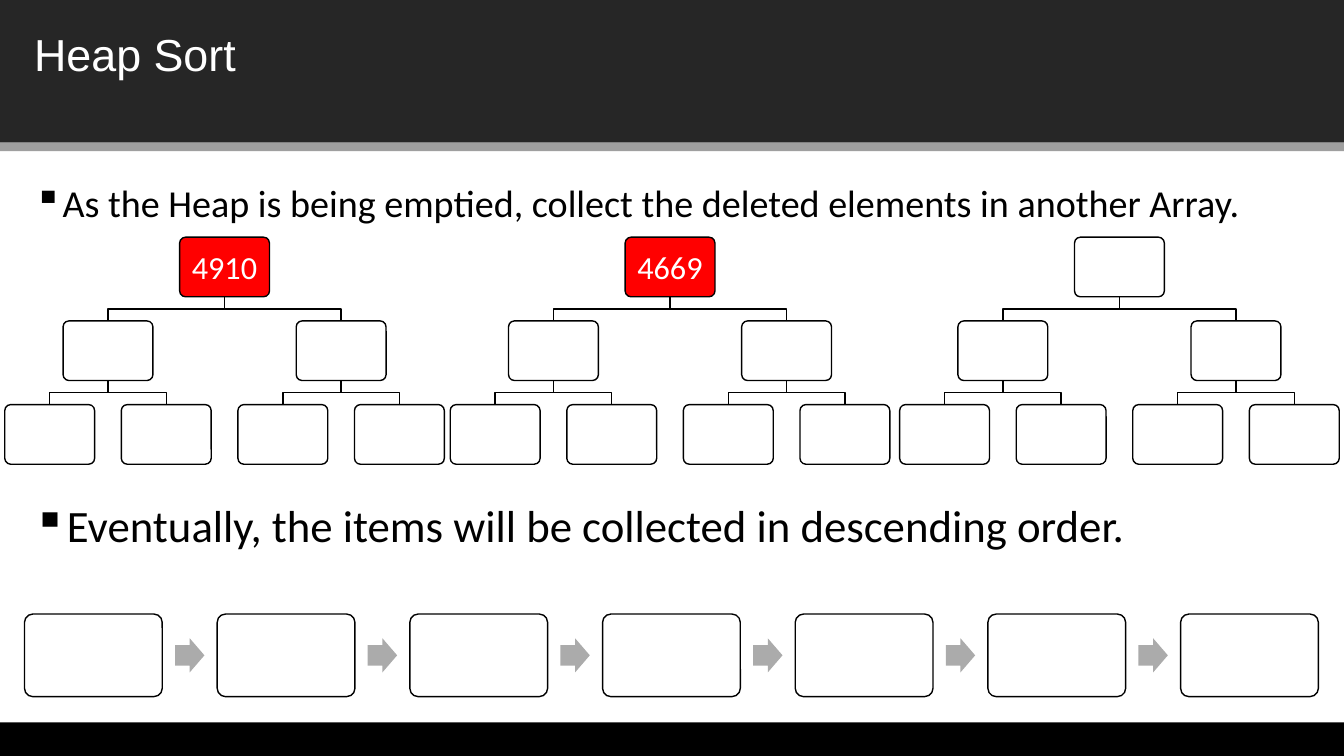
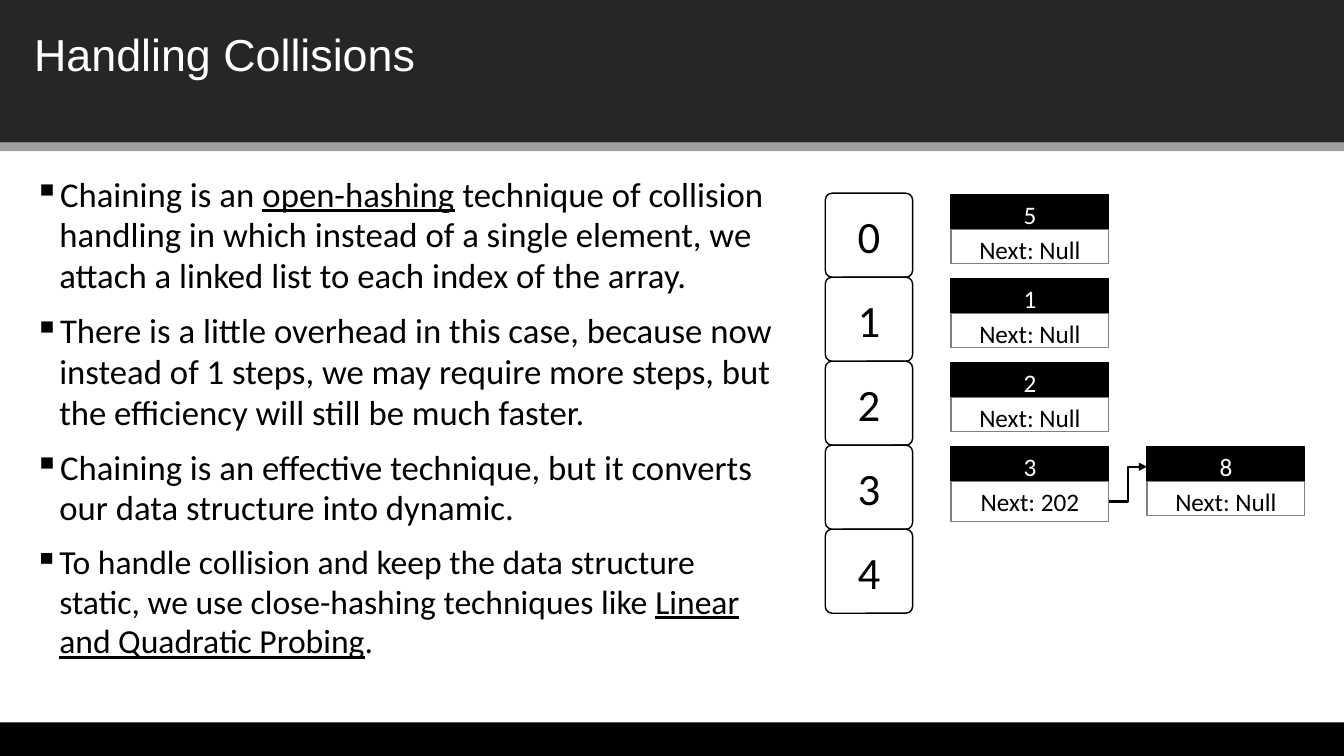
from lxml.etree import SubElement
from pptx import Presentation
from pptx.dml.color import RGBColor
from pptx.enum.shapes import MSO_CONNECTOR as Link, MSO_SHAPE as Kind
from pptx.enum.text import MSO_ANCHOR as Anchor, PP_ALIGN as Align
from pptx.oxml.ns import qn
from pptx.util import Pt

WIDE, HIGH = 960, 540
BLACK, WHITE, RED = "000000", "FFFFFF", "FF0000"
DARK, GREY, SILVER, EDGE = "262626", "9F9F9F", "ABABAB", "7F7F7F"
HEAD, BODY = "Arial", "Calibri"


def color(fmt, code):
    """Set a colour format or a fill to a hex colour."""
    if hasattr(fmt, "solid"):
        fmt.solid()
        fmt = fmt.fore_color
    fmt.rgb = RGBColor.from_string(code)


def style(para, size, code, face=BODY):
    """Set the font of a whole paragraph."""
    font = para.font
    font.size, font.name = Pt(size), face
    color(font.color, code)


def shape(slide, kind, box, fill, line=None, adj=()):
    """Draw a flat preset shape in a box."""
    item = slide.shapes.add_shape(kind, *map(Pt, box))
    item.shadow.inherit = False
    color(item.fill, fill)
    if line:
        color(item.line.fill, line)
        item.line.width = Pt(1)
    else:
        item.line.fill.background()
    for i, value in enumerate(adj):
        item.adjustments[i] = value
    return item


def label(item, text, size, code, anchor=Anchor.MIDDLE):
    """Write one centred line in a shape."""
    frame = item.text_frame
    frame.margin_left = frame.margin_right = Pt(2)
    frame.vertical_anchor = anchor
    para = frame.paragraphs[0]
    para.text, para.alignment = text, Align.CENTER
    style(para, size, code)


def frame_at(slide, box):
    """Add a wrapping text box and return its frame."""
    frame = slide.shapes.add_textbox(*map(Pt, box)).text_frame
    frame.word_wrap = True
    return frame


def base(deck, title):
    """Add a slide with its bands and title."""
    slide = deck.slides.add_slide(deck.slide_layouts[6])
    for top, high, code in ((0, 102, DARK), (102, 6, GREY), (516, 24, BLACK)):
        shape(slide, Kind.RECTANGLE, (0, top, WIDE, high), code)
    para = frame_at(slide, (17.3, 15.8, 924.5, 46)).paragraphs[0]
    para.text = title
    style(para, 32, WHITE, HEAD)
    return slide


def points(slide, box, items, space):
    """Write bullets given as size and text, underlining parts between bars."""
    frame = frame_at(slide, box)
    for i, (size, text) in enumerate(items):
        para = frame.add_paragraph() if i else frame.paragraphs[0]
        para.line_spacing = space
        if i:
            para.space_before = Pt(10)
        props = para._p.get_or_add_pPr()
        props.set("marL", str(Pt(18)))
        props.set("indent", str(-Pt(18)))
        SubElement(props, qn("a:buChar")).set("char", "▪")
        style(para, size, BLACK)
        for j, part in enumerate(text.split("|")):
            run = para.add_run()
            run.text = part
            if j % 2:
                run.font.underline = True


def branch(slide, start, end):
    """Draw a thin elbow down from a parent to a child."""
    (x, y), (to_x, to_y) = start, end
    mid = (y + to_y) / 2
    path = slide.shapes.build_freeform(Pt(x), Pt(y))
    path.add_line_segments(
        [(Pt(a), Pt(b)) for a, b in ((x, mid), (to_x, mid), (to_x, to_y))], close=False)
    item = path.convert_to_shape()
    item.shadow.inherit = False
    item.fill.background()
    color(item.line.fill, BLACK)
    item.line.width = Pt(1)


def tree(slide, box, root=""):
    """Draw a three-level heap, with a red root if it has a value."""
    left, top, wide, high = box
    node_w, node_h = 64.2, 42.6
    step, drop = (wide - node_w) / 3, (high - node_h) / 2

    def center(level, i):
        return left + node_w / 2 + step * ((i + 0.5) * 2 ** (2 - level) - 0.5)

    for level in range(3):
        y = top + level * drop
        for i in range(2 ** level):
            x = center(level, i)
            if level:
                branch(slide, (center(level - 1, i // 2), y - drop + node_h), (x, y))
            full = root and not level
            node = shape(slide, Kind.ROUNDED_RECTANGLE, (x - node_w / 2, y, node_w, node_h),
                         RED if full else WHITE, BLACK, [0.1])
            if full:
                label(node, root, 23, WHITE)


def chain(slide, box, count):
    """Draw a row of empty cells joined by block arrows."""
    left, top, wide, high = box
    cell, arrow_w, arrow_h = 98.4, 21, 24.4
    step = (wide - cell) / (count - 1)
    for i in range(count):
        x = left + i * step
        shape(slide, Kind.ROUNDED_RECTANGLE, (x, top, cell, high), WHITE, BLACK, [0.1])
        if i < count - 1:
            spot = (x + (cell + step - arrow_w) / 2, top + (high - arrow_h) / 2, arrow_w, arrow_h)
            shape(slide, Kind.RIGHT_ARROW, spot, SILVER, adj=[0.6, 0.5])


def slots(slide, box, count):
    """Stack numbered array cells."""
    left, top, wide, high = box
    step = high / count
    for i in range(count):
        cell = shape(slide, Kind.ROUNDED_RECTANGLE, (left, top + i * step, wide, step),
                     WHITE, BLACK, [0.08])
        label(cell, str(i), 32, BLACK)


def entry(slide, box, key, link="Null"):
    """Draw a list node and return its key and link parts."""
    left, top, wide, high = box
    gap = 24.8
    head = shape(slide, Kind.RECTANGLE, (left, top, wide, 28.8), BLACK, BLACK)
    tail = shape(slide, Kind.RECTANGLE, (left, top + gap, wide, high - gap), WHITE, EDGE)
    label(head, key, 18, WHITE, Anchor.TOP)
    label(tail, f"Next: {link}", 18, BLACK, Anchor.TOP)
    return head, tail


def arrow(slide, start, end):
    """Join the right of one shape to the left of another."""
    line = slide.shapes.add_connector(Link.ELBOW, 0, 0, 0, 0)
    line.begin_connect(start, 3)
    line.end_connect(end, 1)
    color(line.line.fill, BLACK)
    line.line.width = Pt(1.5)
    SubElement(line.line._get_or_add_ln(), qn("a:tailEnd")).set("type", "triangle")
    SubElement(line._element.spPr, qn("a:effectLst"))


def lists(slide, box):
    """Draw the linked list of each used index."""
    left, top, wide, step = box
    node_w, node_h = 112.6, 49.4
    for i, key in enumerate("512"):
        entry(slide, (left, top + i * step, node_w, node_h), key)
    y = top + 3 * step
    first = entry(slide, (left, y, node_w, 53.6), "3", "202")
    last = entry(slide, (left + wide - node_w, y, node_w, node_h), "8")
    arrow(slide, first[1], last[0])


def heap(deck):
    """Build the heap sort slide."""
    slide = base(deck, "Heap Sort")
    points(slide, (17.3, 121, 924.5, 49), [
        (27.2, "As the Heap is being emptied, collect the deleted elements in another Array.")], 1.1)
    for left, root in ((3.4, "4910"), (321.6, "4669"), (642.6, "")):
        tree(slide, (left, 169.4, 314, 162.2), root)
    points(slide, (16.8, 344.2, 924.5, 82), [
        (32, "Eventually, the items will be collected in descending order.")], 1.2)
    chain(slide, (17.5, 438.6, 924.2, 59), 7)


def hashing(deck):
    """Build the collisions slide."""
    slide = base(deck, "Handling Collisions")
    points(slide, (17.3, 121, 545, 389.5), [
        (24.8, "Chaining is an |open-hashing| technique of collision handling in which instead "
               "of a single element, we attach a linked list to each index of the array."),
        (24.8, "There is a little overhead in this case, because now instead of 1 steps, "
               "we may require more steps, but the efficiency will still be much faster."),
        (24.8, "Chaining is an effective technique, but it converts our data structure "
               "into dynamic."),
        (24, "To handle collision and keep the data structure static, we use close-hashing "
             "techniques like |Linear and Quadratic Probing|."),
    ], 0.98)
    slots(slide, (589.5, 138, 62.4, 300), 5)
    lists(slide, (679.4, 139, 252.6, 60))


def main():
    """Build and save the deck."""
    deck = Presentation()
    deck.slide_width, deck.slide_height = Pt(WIDE), Pt(HIGH)
    heap(deck)
    hashing(deck)
    deck.save("out.pptx")


if __name__ == "__main__":
    main()
